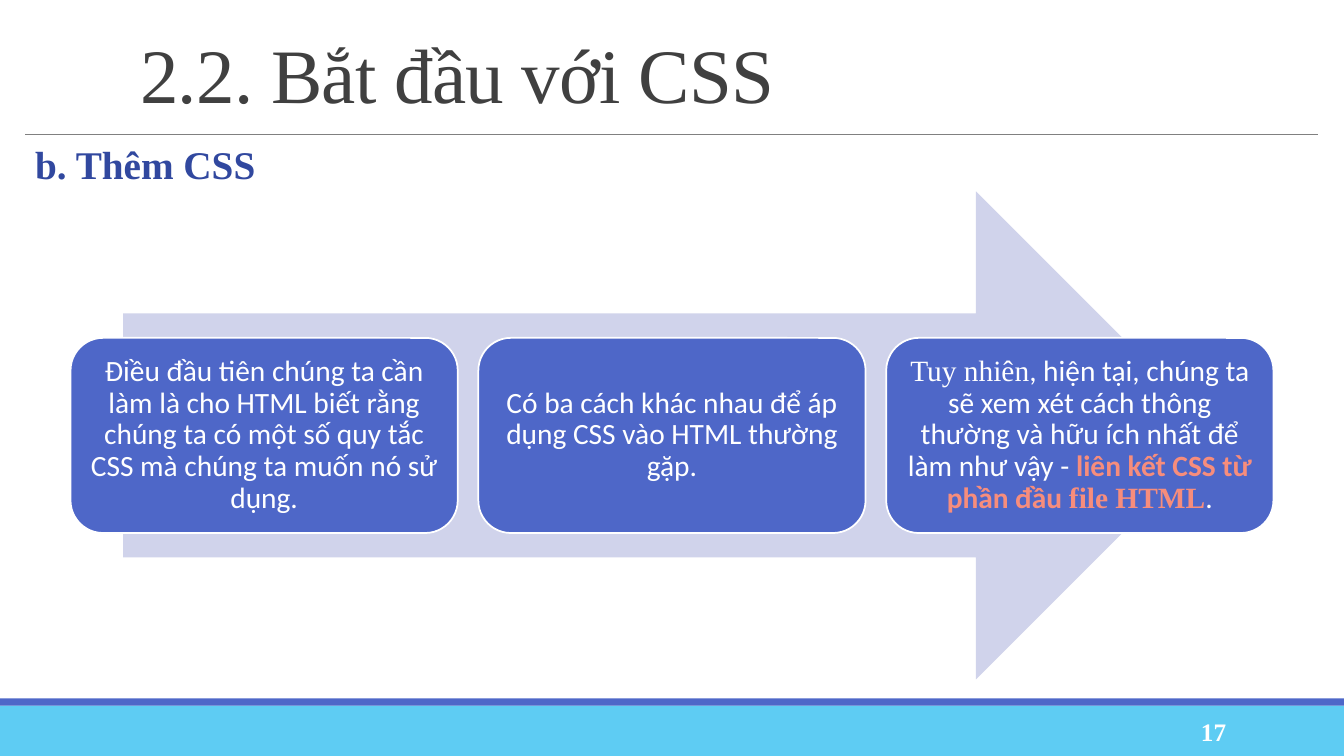
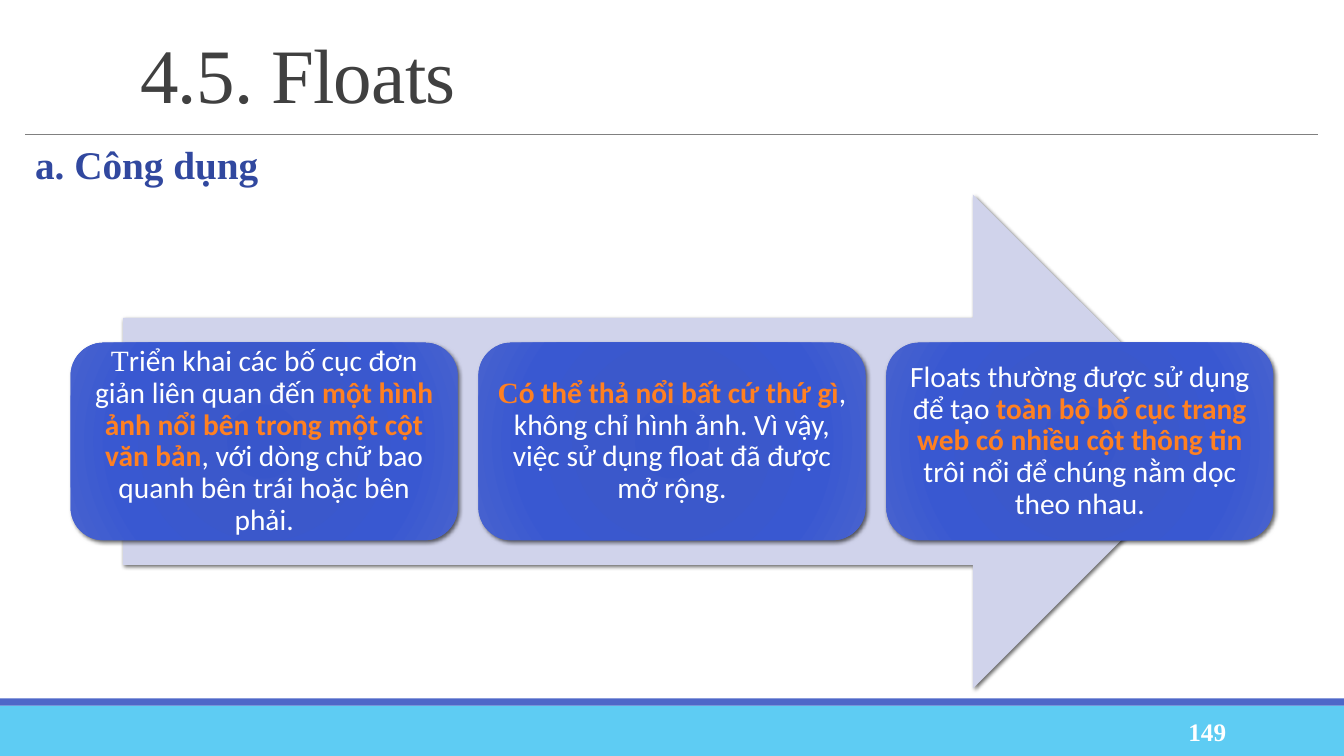
"""Builds two lesson slides, each with three steps laid along a wide arrow."""
from lxml import etree
from pptx import Presentation
from pptx.dml.color import RGBColor
from pptx.enum.shapes import MSO_CONNECTOR, MSO_SHAPE
from pptx.enum.text import MSO_ANCHOR, PP_ALIGN
from pptx.oxml import parse_xml
from pptx.oxml.ns import nsdecls, qn
from pptx.util import Inches, Pt

RECT, ARROW, ROUNDED = MSO_SHAPE.RECTANGLE, MSO_SHAPE.RIGHT_ARROW, MSO_SHAPE.ROUNDED_RECTANGLE
STRAIGHT = MSO_CONNECTOR.STRAIGHT
TOP, MIDDLE = MSO_ANCHOR.TOP, MSO_ANCHOR.MIDDLE
LEFT, CENTER, RIGHT = PP_ALIGN.LEFT, PP_ALIGN.CENTER, PP_ALIGN.RIGHT

SKY = RGBColor(0x5E, 0xCC, 0xF3)
INDIGO = RGBColor(0x4E, 0x67, 0xC8)
NAVY = RGBColor(0x31, 0x48, 0x9F)
LAVENDER = RGBColor(0xD0, 0xD3, 0xEB)
CHARCOAL = RGBColor(0x40, 0x40, 0x40)
GRAY = RGBColor(0x80, 0x80, 0x80)
WHITE = RGBColor(0xFF, 0xFF, 0xFF)
SALMON = RGBColor(0xF7, 0x8D, 0x7C)
ORANGE = RGBColor(0xFF, 0x80, 0x21)
BLACK = RGBColor(0, 0, 0)
GLOW_STOPS = [
    (0, RGBColor(0x38, 0x56, 0xCB)),
    (34, RGBColor(0x3B, 0x58, 0xCB)),
    (70, RGBColor(0x39, 0x58, 0xD1)),
    (100, RGBColor(0x48, 0x63, 0xCE)),
]

SERIF, SANS = "Times New Roman", "Calibri"

LESSONS = [
    {
        "title": "2.2. Bắt đầu với CSS",
        "heading": "b. Thêm CSS",
        "number": "17",
        "arrow_top": 1.9,
        "arrow_height": 4.84,
        "accent": SALMON,
        "raised": False,
        "steps": [
            [("Điều đầu tiên chúng ta cần làm là cho HTML biết rằng chúng ta có "
              "một số quy tắc CSS mà chúng ta muốn nó sử dụng.", SANS, False)],
            [("Có ba cách khác nhau để áp dụng CSS vào HTML thường gặp.", SANS, False)],
            [("Tuy nhiên", SERIF, False),
             (", hiện tại, chúng ta sẽ xem xét cách thông thường và hữu ích nhất "
              "để làm như vậy - ", SANS, False),
             ("liên kết CSS từ phần đầu ", SANS, True),
             ("file HTML", SERIF, True),
             (".", SANS, False)],
        ],
    },
    {
        "title": "4.5. Floats",
        "heading": "a. Công dụng",
        "number": "149",
        "arrow_top": 1.93,
        "arrow_height": 4.9,
        "accent": ORANGE,
        "raised": True,
        "steps": [
            [("T", SERIF, False),
             ("riển khai các bố cục đơn giản liên quan đến ", SANS, False),
             ("một hình ảnh nổi bên trong một cột văn bản", SANS, True),
             (", với dòng chữ bao quanh bên trái hoặc bên phải.", SANS, False)],
            [("C", SERIF, True),
             ("ó thể thả nổi bất cứ thứ gì", SANS, True),
             (", không chỉ hình ảnh. Vì vậy, việc sử dụng float đã được mở rộng.",
              SANS, False)],
            [("Floats thường được sử dụng để tạo ", SANS, False),
             ("toàn bộ bố cục trang web có nhiều cột thông tin ", SANS, True),
             ("trôi nổi để chúng nằm dọc theo nhau.", SANS, False)],
        ],
    },
]

SLIDE_WIDTH, SLIDE_HEIGHT = 13.33, 7.5
BANDS = [(7, 0.5, SKY), (6.93, 0.07, INDIGO)]
ARROW_LEFT, ARROW_WIDTH = 1.22, 10.88
ROW_LEFT, ROW_WIDTH, STEP_WIDTH = 0.7, 11.93, 3.84
STEP_SHARE = 0.4
STEP_INSET = 0.09


def add_block(slide, preset, left, top, width, height, color):
    block = slide.shapes.add_shape(
        preset, Inches(left), Inches(top), Inches(width), Inches(height))
    block.shadow.inherit = False
    block.fill.solid()
    block.fill.fore_color.rgb = color
    block.line.fill.background()
    return block


def add_label(slide, box, text, size, color, bold=False, align=LEFT,
              anchor=TOP, spacing=1.0, side_inset=0.1):
    label = slide.shapes.add_textbox(*(Inches(length) for length in box))
    frame = label.text_frame
    frame.word_wrap = True
    frame.vertical_anchor = anchor
    frame.margin_left = frame.margin_right = Inches(side_inset)
    frame.text = text
    paragraph = frame.paragraphs[0]
    paragraph.alignment = align
    paragraph.line_spacing = spacing
    run = paragraph.runs[0]
    style_run(run, SERIF, size, color, bold)
    return run


def style_run(run, face, size, color, bold):
    run.font.name = face
    run.font.size = Pt(size)
    run.font.color.rgb = color
    run.font.bold = bold


def cast_shadow(block):
    effects = block._element.spPr.find(qn("a:effectLst"))
    effects.append(parse_xml(
        f'<a:outerShdw {nsdecls("a")} blurRad="{Pt(3)}" dist="{Pt(2)}" dir="2700000" '
        f'algn="br" rotWithShape="0"><a:srgbClr val="{BLACK}"><a:alpha val="60000"/>'
        '</a:srgbClr></a:outerShdw>'))


def fill_with_glow(block):
    stops = "".join(
        f'<a:gs pos="{position * 1000}"><a:srgbClr val="{color}"/></a:gs>'
        for position, color in GLOW_STOPS)
    properties = block._element.spPr
    properties.replace(properties.find(qn("a:solidFill")), parse_xml(
        f'<a:gradFill {nsdecls("a")} rotWithShape="1"><a:gsLst>{stops}</a:gsLst>'
        '<a:path path="circle"><a:fillToRect l="100000" t="100000" r="100000" '
        'b="100000"/></a:path></a:gradFill>'))


def add_frame(slide, lesson):
    for top, height, color in BANDS:
        add_block(slide, RECT, 0, top, SLIDE_WIDTH, height, color)
    rule = slide.shapes.add_connector(
        STRAIGHT, Inches(0.25), Inches(1.33), Inches(13.07), Inches(1.33))
    rule.line.color.rgb = GRAY
    rule.line.width = Pt(0.5)
    etree.SubElement(rule._element.spPr, qn("a:effectLst"))
    title = add_label(slide, (1.29, 0.31, 11.78, 0.96), lesson["title"], 55, CHARCOAL,
                      anchor=MIDDLE, spacing=0.85)
    title.font._element.set("spc", "-50")
    add_label(slide, (0.25, 1.4, 12.82, 0.5), lesson["heading"], 28, NAVY,
              bold=True, spacing=0.9)
    add_label(slide, (10.83, 7.06, 1.43, 0.4), lesson["number"], 18, WHITE,
              bold=True, align=RIGHT, anchor=MIDDLE)


def write_step(step, phrases, accent):
    frame = step.text_frame
    frame.word_wrap = True
    frame.vertical_anchor = MIDDLE
    frame.margin_left = frame.margin_right = Inches(STEP_INSET)
    frame.margin_top = frame.margin_bottom = Inches(STEP_INSET)
    paragraph = frame.paragraphs[0]
    paragraph.alignment = CENTER
    paragraph.line_spacing = 0.9
    for text, face, stressed in phrases:
        run = paragraph.add_run()
        run.text = text
        style_run(run, face, 21, accent if stressed else WHITE, stressed)


def add_process(slide, lesson):
    arrow_top, arrow_height = lesson["arrow_top"], lesson["arrow_height"]
    arrow = add_block(slide, ARROW, ARROW_LEFT, arrow_top, ARROW_WIDTH, arrow_height, LAVENDER)
    if lesson["raised"]:
        cast_shadow(arrow)
    step_height = arrow_height * STEP_SHARE
    step_top = arrow_top + (arrow_height - step_height) / 2
    pitch = (ROW_WIDTH - STEP_WIDTH) / (len(lesson["steps"]) - 1)
    for index, phrases in enumerate(lesson["steps"]):
        step = add_block(slide, ROUNDED, ROW_LEFT + index * pitch, step_top,
                         STEP_WIDTH, step_height, INDIGO)
        if lesson["raised"]:
            fill_with_glow(step)
            cast_shadow(step)
        else:
            step.line.color.rgb = WHITE
            step.line.width = Pt(1.25)
        write_step(step, phrases, lesson["accent"])


def main():
    deck = Presentation()
    deck.slide_width, deck.slide_height = Inches(SLIDE_WIDTH), Inches(SLIDE_HEIGHT)
    for lesson in LESSONS:
        slide = deck.slides.add_slide(deck.slide_layouts[6])
        add_frame(slide, lesson)
        add_process(slide, lesson)
    deck.save("out.pptx")


if __name__ == "__main__":
    main()
